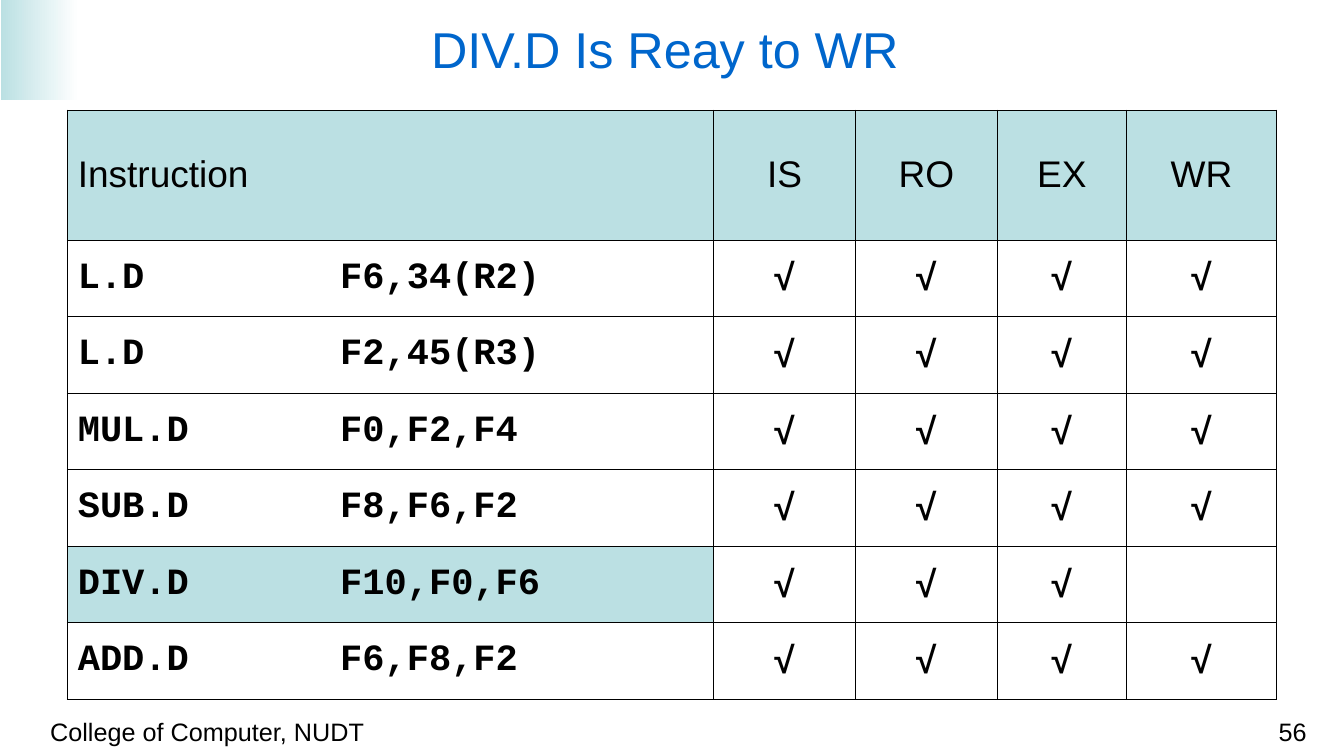
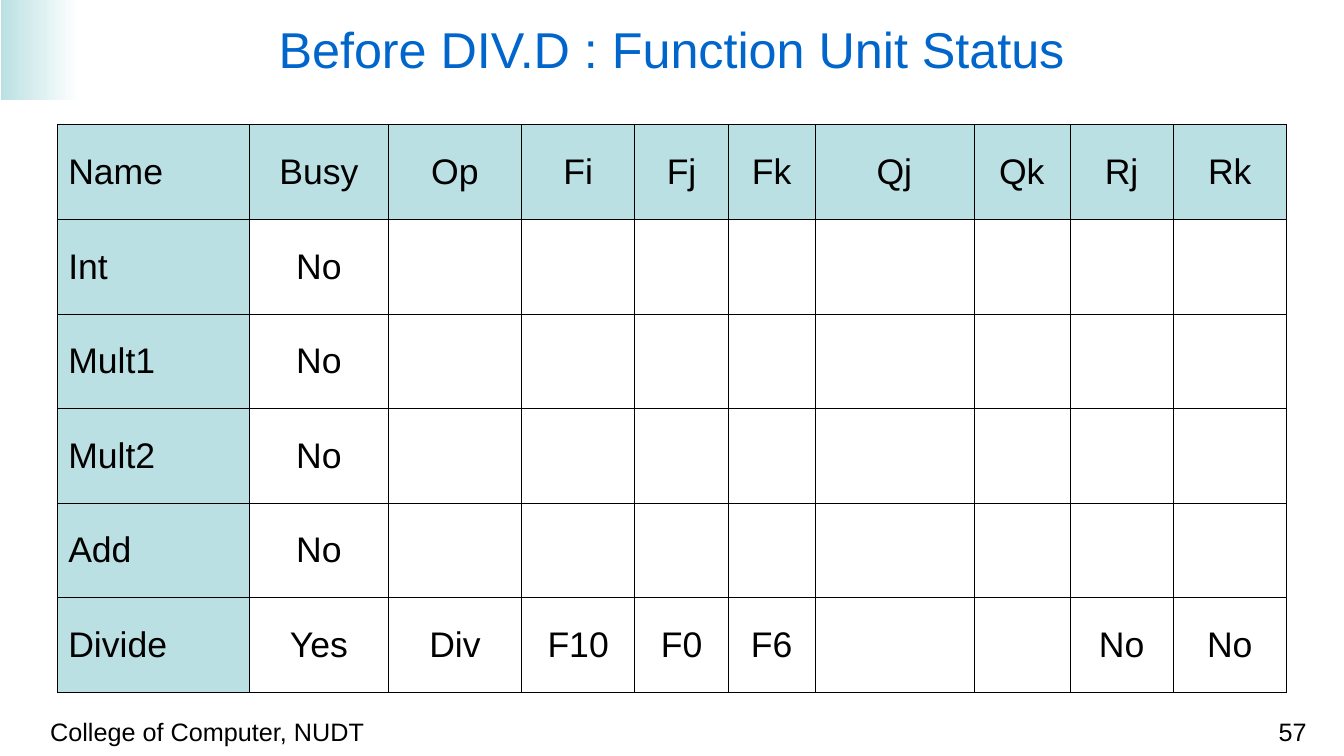
import pptx
import pptx.dml.color
import pptx.enum.shapes
import pptx.enum.text
import pptx.oxml
import pptx.oxml.ns
import pptx.util
from pptx.util import Inches

COLORS = {"tint": "BBE0E3", "white": "FFFFFF", "title": "0066CC", "text": "000000"}
FONT = "Arial"
CODE_FONT = "Courier New"
FOOTER = "College of Computer, NUDT"
FIRST_PAGE = 56
TAB_STEP = 1.23
BORDER_WIDTH = 0.45
ALIGN = pptx.enum.text.PP_ALIGN
ANCHOR = pptx.enum.text.MSO_ANCHOR


def rgb(name):
    return pptx.dml.color.RGBColor.from_string(COLORS[name])


def write(frame, text, size, color="text", align=ALIGN.LEFT, font=FONT, bold=False):
    frame.text = text
    paragraph = frame.paragraphs[0]
    paragraph.alignment = align
    for run in paragraph.runs:
        run.font.name = font
        run.font.size = pptx.util.Pt(size)
        run.font.bold = bold
        run.font.color.rgb = rgb(color)


def add_text(slide, box, text, size, anchor=ANCHOR.TOP, **style):
    frame = slide.shapes.add_textbox(*map(Inches, box)).text_frame
    frame.word_wrap = True
    frame.vertical_anchor = anchor
    frame.margin_left = frame.margin_right = Inches(0.12)
    frame.margin_top = frame.margin_bottom = Inches(0.06)
    write(frame, text, size, **style)


def add_band(slide):
    band = slide.shapes.add_shape(
        pptx.enum.shapes.MSO_SHAPE.RECTANGLE, Inches(0.01), 0, Inches(0.73), Inches(0.94))
    band.shadow.inherit = False
    band.line.fill.background()
    band.fill.gradient()
    band.fill.gradient_angle = 0
    for stop, color in zip(band.fill.gradient_stops, ("tint", "white")):
        stop.color.rgb = rgb(color)


def add_page(deck, title):
    """Add a slide with the shared band, footer, page number and title."""
    slide = deck.slides.add_slide(deck.slide_layouts[6])
    number = FIRST_PAGE + len(deck.slides) - 1
    add_band(slide)
    add_text(slide, (0.35, 6.66, 4.66, 0.28), FOOTER, 17)
    add_text(slide, (11.06, 6.66, 1.31, 0.28), str(number), 17, align=ALIGN.RIGHT)
    add_text(slide, (0.25, 0.12, 12.1, 0.67), title, 34, ANCHOR.MIDDLE,
             color="title", align=ALIGN.CENTER)
    return slide


def add_borders(cell):
    properties = cell._tc.get_or_add_tcPr()
    for side in "LRTB":
        properties.append(pptx.oxml.parse_xml(
            f'<a:ln{side} {pptx.oxml.ns.nsdecls("a")} w="{pptx.util.Pt(BORDER_WIDTH)}">'
            f'<a:solidFill><a:srgbClr val="{COLORS["text"]}"/></a:solidFill></a:ln{side}>'))


def add_tab_stops(paragraph, count=2):
    stops = "".join(f'<a:tab pos="{Inches(TAB_STEP * n)}" algn="l"/>'
                    for n in range(1, count + 1))
    paragraph._p.get_or_add_pPr().append(pptx.oxml.parse_xml(
        f'<a:tabLst {pptx.oxml.ns.nsdecls("a")}>{stops}</a:tabLst>'))


def add_grid(slide, box, widths, header_height, rows, size, tinted,
             label_font=FONT, body_bold=False):
    """Draw a table; tinted holds the row numbers whose first cell is shaded."""
    table = slide.shapes.add_table(len(rows), len(widths), *map(Inches, box)).table
    table.first_row = table.horz_banding = False
    for column, width in zip(table.columns, widths):
        column.width = Inches(width)
    body_height = (box[3] - header_height) / (len(rows) - 1)
    for r, values in enumerate(rows):
        table.rows[r].height = Inches(body_height if r else header_height)
        for c, value in enumerate(values):
            cell = table.cell(r, c)
            cell.vertical_anchor = ANCHOR.MIDDLE
            add_borders(cell)
            cell.fill.solid()
            shaded = r == 0 or (c == 0 and r in tinted)
            cell.fill.fore_color.rgb = rgb("tint" if shaded else "white")
            write(cell.text_frame, value, size,
                  align=ALIGN.CENTER if c else ALIGN.LEFT,
                  font=label_font if r and not c else FONT,
                  bold=body_bold and r > 0)
            if "\t" in value:
                add_tab_stops(cell.text_frame.paragraphs[0])


def add_instruction_status(deck):
    slide = add_page(deck, "DIV.D Is Reay to WR ")
    stages = ["IS", "RO", "EX", "WR"]
    finished_stages = {
        "L.D \t\tF6,34(R2)": 4,
        "L.D \t\tF2,45(R3)": 4,
        "MUL.D \tF0,F2,F4": 4,
        "SUB.D \tF8,F6,F2": 4,
        "DIV.D \tF10,F0,F6": 3,
        "ADD.D \tF6,F8,F2": 4,
    }
    rows = [["Instruction", *stages]]
    for instruction, done in finished_stages.items():
        rows.append([instruction] + ["√"] * done + [""] * (len(stages) - done))
    add_grid(slide, (0.63, 1.03, 11.34, 5.53), [6.06, 1.33, 1.33, 1.21, 1.41], 1.22,
             rows, 25, tinted={5}, label_font=CODE_FONT, body_bold=True)


def add_unit_status(deck):
    slide = add_page(deck, "Before DIV.D : Function Unit Status")
    header = ["Name", "Busy", "Op", "Fi", "Fj", "Fk", "Qj", "Qk", "Rj", "Rk"]
    idle = [[unit, "No"] + [""] * (len(header) - 2)
            for unit in ("Int", "Mult1", "Mult2", "Add")]
    divide = ["Divide", "Yes", "Div", "F10", "F0", "F6", "", "", "No", "No"]
    rows = [header, *idle, divide]
    add_grid(slide, (0.54, 1.17, 11.53, 5.32),
             [1.8, 1.3, 1.25, 1.06, 0.88, 0.81, 1.49, 0.9, 0.97, 1.06], 0.89,
             rows, 24, tinted=range(1, len(rows)))


def main():
    deck = pptx.Presentation()
    deck.slide_width, deck.slide_height = Inches(12.6), Inches(7.09)
    add_instruction_status(deck)
    add_unit_status(deck)
    deck.save("out.pptx")


if __name__ == "__main__":
    main()
